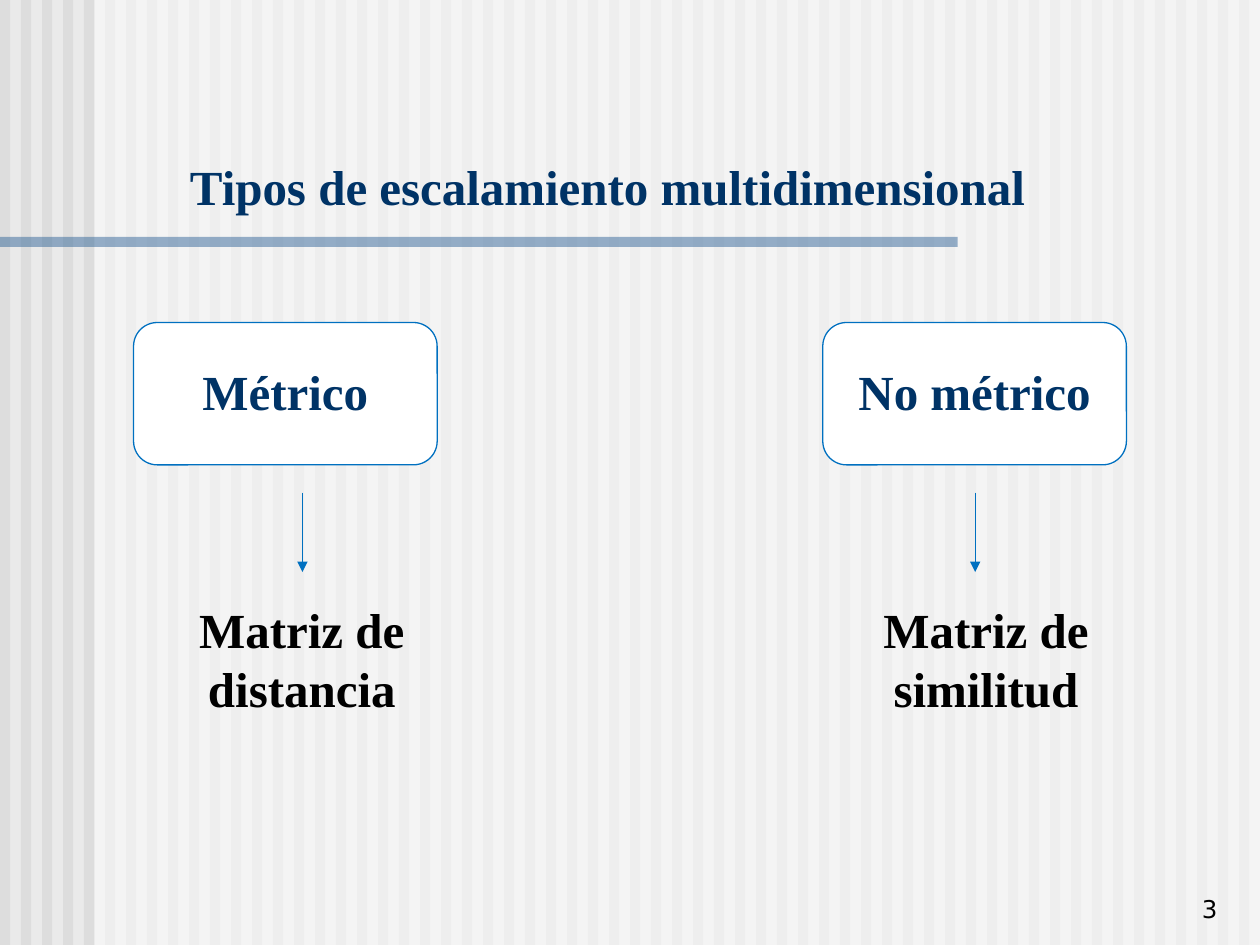
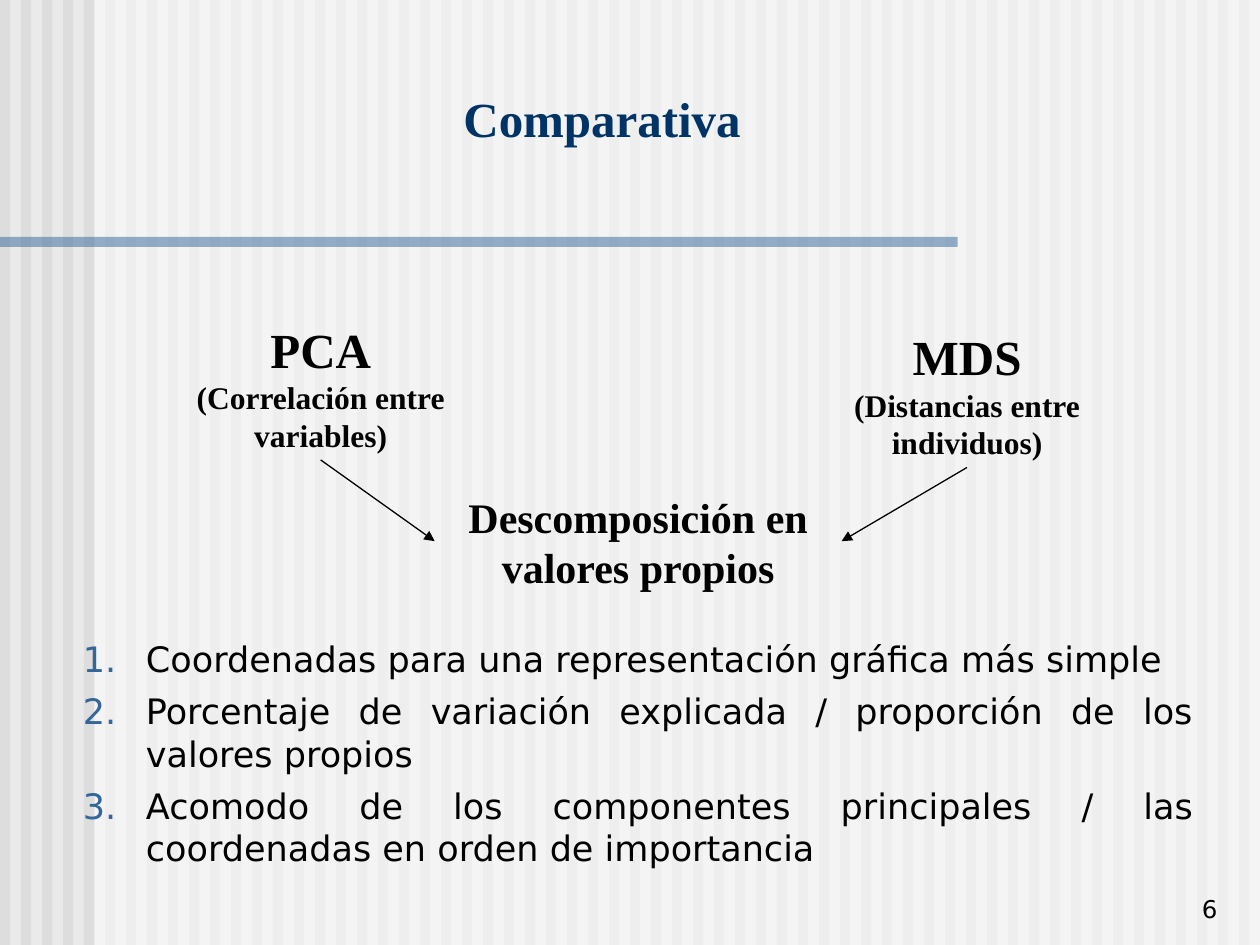
from lxml import etree
from pptx import Presentation
from pptx.dml.color import RGBColor
from pptx.enum import shapes, text
from pptx.oxml import ns
from pptx.util import Inches, Pt

SERIF, SANS = "Times New Roman", "DejaVu Sans"
NAVY, STEEL, BLUE = "003366", "336699", "0070C0"
BLACK, WHITE, GREY, STRIPE = "000000", "FFFFFF", "EAEAEA", "DDDDDD"
LEFT, CENTER, RIGHT, JUSTIFY = (
    text.PP_ALIGN.LEFT, text.PP_ALIGN.CENTER, text.PP_ALIGN.RIGHT, text.PP_ALIGN.JUSTIFY)
TOP, MIDDLE, BOTTOM = (
    text.MSO_ANCHOR.TOP, text.MSO_ANCHOR.MIDDLE, text.MSO_ANCHOR.BOTTOM)
LINE_PITCH = 1.2


def rgb(color):
    return RGBColor.from_string(color)


def add_child(parent, tag, **attrs):
    return etree.SubElement(parent, ns.qn(tag), attrs)


def add_panel(s, box, fill, alpha=None, line=None, shape=shapes.MSO_SHAPE.RECTANGLE):
    sp = s.shapes.add_shape(shape, *map(Inches, box))
    sp.shadow.inherit = False
    sp.fill.solid()
    sp.fill.fore_color.rgb = rgb(fill)
    if alpha:
        color = sp.fill._xPr.find(".//" + ns.qn("a:srgbClr"))
        add_child(color, "a:alpha", val=str(alpha * 1000))
    if line:
        sp.line.color.rgb = rgb(line)
        sp.line.width = Pt(0.75)
    else:
        sp.line.fill.background()
    return sp


def write(tf, lines, color=BLACK, font=SERIF, bold=True, align=CENTER, anchor=BOTTOM):
    tf.word_wrap = True
    tf.vertical_anchor = anchor
    for i, (words, size) in enumerate(lines):
        p = tf.paragraphs[0] if i == 0 else tf.add_paragraph()
        p.alignment = align
        p.line_spacing = Pt(size * LINE_PITCH)
        r = p.add_run()
        r.text = words
        r.font.name = font
        r.font.size = Pt(size)
        r.font.bold = bold
        r.font.color.rgb = rgb(color)


def add_text(s, box, lines, **style):
    tf = s.shapes.add_textbox(*map(Inches, box)).text_frame
    write(tf, lines, **style)
    return tf


def add_arrow(s, start, end, color):
    c = s.shapes.add_connector(
        shapes.MSO_CONNECTOR.STRAIGHT, *map(Inches, (*start, *end)))
    c.line.color.rgb = rgb(color)
    c.line.width = Pt(0.75)
    add_child(c.line._get_or_add_ln(), "a:tailEnd", type="triangle")
    add_child(c._element.spPr, "a:effectLst")


def add_backdrop(s):
    for i in range(60):
        add_panel(s, (i / 6, 0, 0.08, 7.5), STRIPE)
    add_panel(s, (0.75, 0, 9.25, 7.5), WHITE, alpha=50)
    add_panel(s, (0, 1.88, 7.6, 0.08), STEEL, alpha=50)


def add_base_slide(prs, title, title_box, number):
    s = prs.slides.add_slide(prs.slide_layouts[6])
    add_backdrop(s)
    add_text(s, (7.68, 6.88, 2.08, 0.5), [(number, 14)],
             font=SANS, bold=False, align=RIGHT)
    add_text(s, title_box, [(title, 28)], color=NAVY, align=LEFT)
    return s


def add_scaling_type(s, box, name, arrow_x, caption, caption_left):
    left, top, width, height = box
    sp = add_panel(s, box, WHITE, line=BLUE, shape=shapes.MSO_SHAPE.ROUNDED_RECTANGLE)
    write(sp.text_frame, [(name, 28)], color=NAVY, anchor=MIDDLE)
    sp.text_frame.margin_bottom = Inches(0.1)
    bottom = top + height
    add_arrow(s, (arrow_x, bottom + 0.22), (arrow_x, bottom + 0.85), BLUE)
    add_text(s, (caption_left, bottom + 1.01, 2.91, 1.04), [(caption, 28)])


def add_method(s, box, name, basis, arrow_end):
    left, top, width, height = box
    add_text(s, box, [(name, 28), (basis, 18)])
    add_arrow(s, (left + width / 2, top + height), arrow_end, BLACK)


def add_numbered_list(s, box, items):
    tf = add_text(s, box, [(item, 20) for item in items],
                  font=SANS, bold=False, align=JUSTIFY, anchor=TOP)
    for p in tf.paragraphs:
        p.space_after = Pt(6)
        pPr = p._p.get_or_add_pPr()
        pPr.set("marL", str(Inches(0.5)))
        pPr.set("indent", str(-Inches(0.5)))
        add_child(add_child(pPr, "a:buClr"), "a:srgbClr", val=STEEL)
        add_child(pPr, "a:buFont", typeface=SANS)
        add_child(pPr, "a:buAutoNum", type="arabicPeriod")


def build_types_slide(prs):
    s = add_base_slide(prs, "Tipos de escalamiento multidimensional",
                       (1.41, 1.19, 7.04, 0.57), "3")
    for left, name, arrow_x, caption, caption_left in (
            (1.06, "Métrico", 2.4, "Matriz de distancia", 0.94),
            (6.53, "No métrico", 7.74, "Matriz de similitud", 6.37)):
        add_scaling_type(s, (left, 2.56, 2.41, 1.13), name, arrow_x,
                         caption, caption_left)


def build_comparison_slide(prs):
    s = add_base_slide(prs, "Comparativa", (3.58, 0.65, 6, 0.57), "6")
    left, top, width, height = result_box = (3.45, 3.84, 3.23, 0.91)
    middle = top + height / 2
    add_method(s, (1.09, 2.47, 2.91, 1.18), "PCA",
               "(Correlación entre variables)", (left, middle))
    add_method(s, (6.22, 2.53, 2.91, 1.18), "MDS",
               "(Distancias entre individuos)", (left + width, middle))
    add_text(s, result_box, [("Descomposición en valores propios", 24)])
    add_numbered_list(s, (0.56, 5.01, 9.01, 1.95), (
        "Coordenadas para una representación gráfica más simple",
        "Porcentaje de variación explicada / proporción de los valores propios",
        "Acomodo de los componentes principales / las coordenadas en orden de importancia"))


def main():
    prs = Presentation()
    prs.slide_width, prs.slide_height = Inches(10), Inches(7.5)
    fill = prs.slide_master.background.fill
    fill.solid()
    fill.fore_color.rgb = rgb(GREY)
    build_types_slide(prs)
    build_comparison_slide(prs)
    prs.save("out.pptx")


if __name__ == "__main__":
    main()
